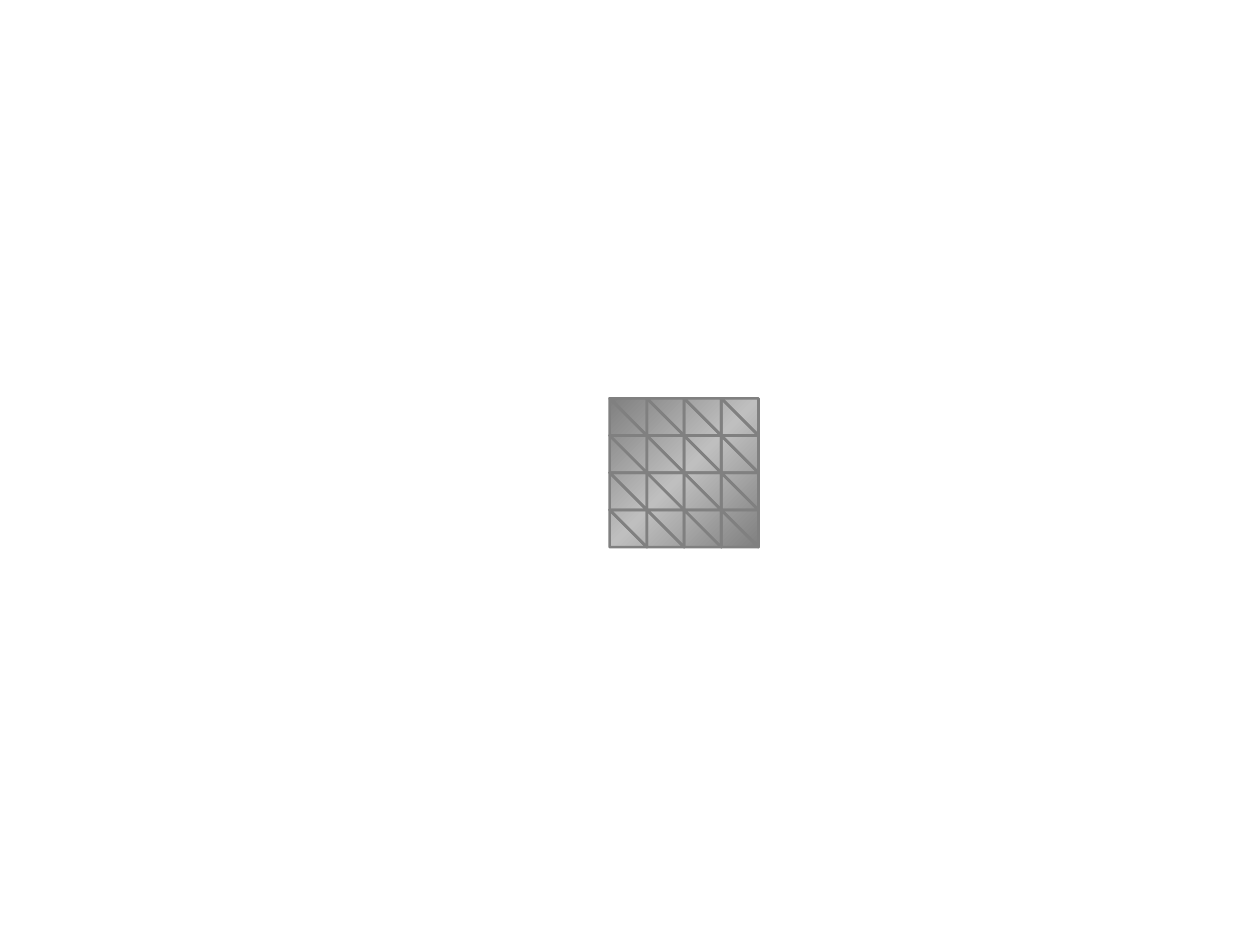
"""Build a slide with a gradient square tiled by pairs of right triangles."""
from copy import deepcopy
from dataclasses import dataclass
from itertools import product

from pptx import Presentation
from pptx.dml.color import RGBColor
from pptx.enum.shapes import MSO_SHAPE
from pptx.shapes.autoshape import Shape
from pptx.shapes.shapetree import GroupShapes
from pptx.util import Cm, Pt

RECTANGLE = MSO_SHAPE.RECTANGLE
RIGHT_TRIANGLE = MSO_SHAPE.RIGHT_TRIANGLE
BLANK_LAYOUT = 6
GRAY, LIGHT_GRAY = "808080", "BFBFBF"
LEFT, TOP, CELL, COUNT = 12.29, 8.03, 0.75, 4


@dataclass(frozen=True)
class Triangle:
    """One half of a grid cell."""
    row: int
    col: int
    rotation: int


def rgb(value: str) -> RGBColor:
    """Return the colour for a hex string."""
    return RGBColor.from_string(value)


def add_square(shapes: GroupShapes) -> Shape:
    """Add the gradient square behind the grid."""
    side = Cm(CELL * COUNT)
    sp = shapes.add_shape(RECTANGLE, Cm(LEFT), Cm(TOP), side, side)
    sp.shadow.inherit = False
    sp.line.fill.background()
    sp.fill.gradient()
    sp.fill.gradient_angle = 315
    for stop in sp.fill.gradient_stops:
        stop.color.rgb = rgb(GRAY)
    first = sp.element.xpath(".//a:gs")[0]
    middle = deepcopy(first)
    middle.set("pos", "50000")
    first.addnext(middle)
    sp.fill.gradient_stops[1].color.rgb = rgb(LIGHT_GRAY)
    return sp


def add_triangle(shapes: GroupShapes, triangle: Triangle) -> Shape:
    """Add one outlined triangle of the grid."""
    sp = shapes.add_shape(
        RIGHT_TRIANGLE,
        Cm(LEFT + triangle.col * CELL),
        Cm(TOP + triangle.row * CELL),
        Cm(CELL),
        Cm(CELL),
    )
    sp.rotation = triangle.rotation
    sp.shadow.inherit = False
    sp.fill.background()
    sp.line.color.rgb = rgb(GRAY)
    sp.line.width = Pt(1.5)
    return sp


def main() -> None:
    """Build and save the presentation."""
    prs = Presentation()
    prs.slide_width, prs.slide_height = Cm(25.4), Cm(19.05)
    s = prs.slides.add_slide(prs.slide_layouts[BLANK_LAYOUT])
    group = s.shapes.add_group_shape()
    add_square(group.shapes)
    for row, col, rotation in product(range(COUNT), range(COUNT), (0, 180)):
        add_triangle(group.shapes, Triangle(row, col, rotation))
    prs.save("out.pptx")


main()
